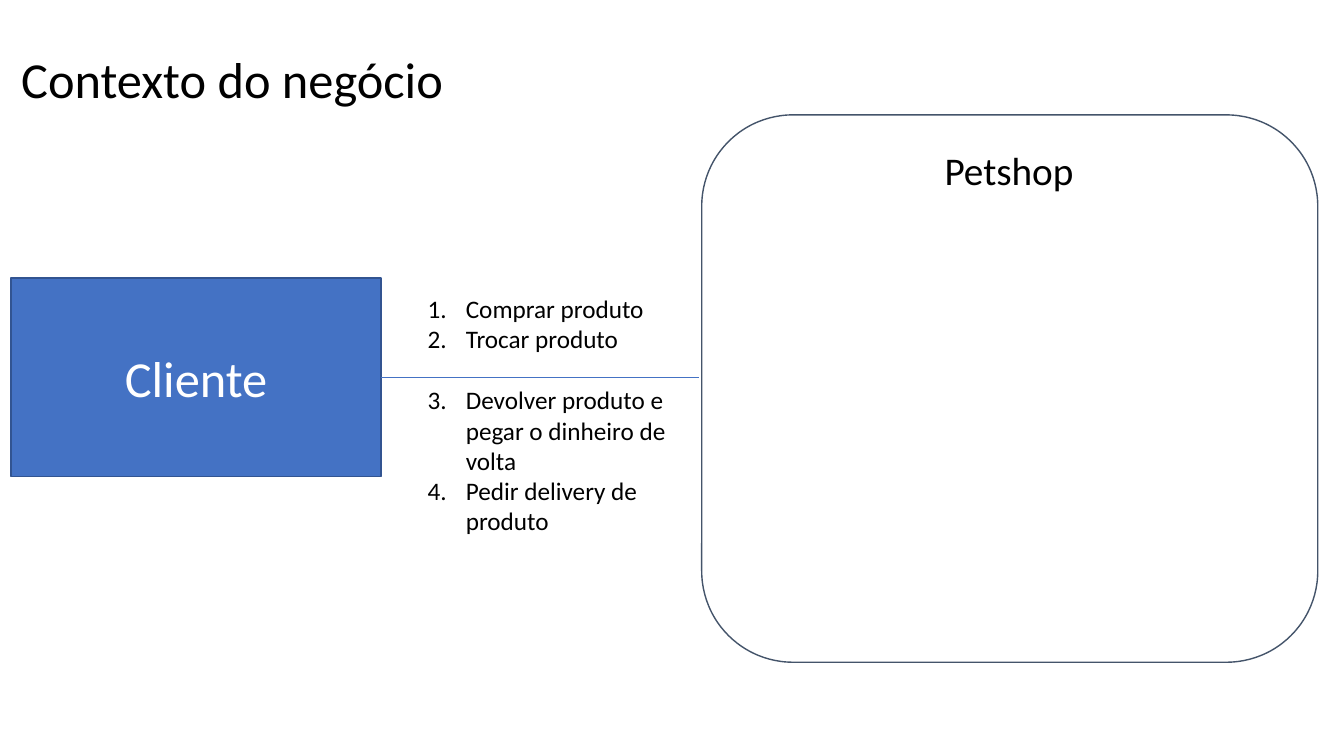
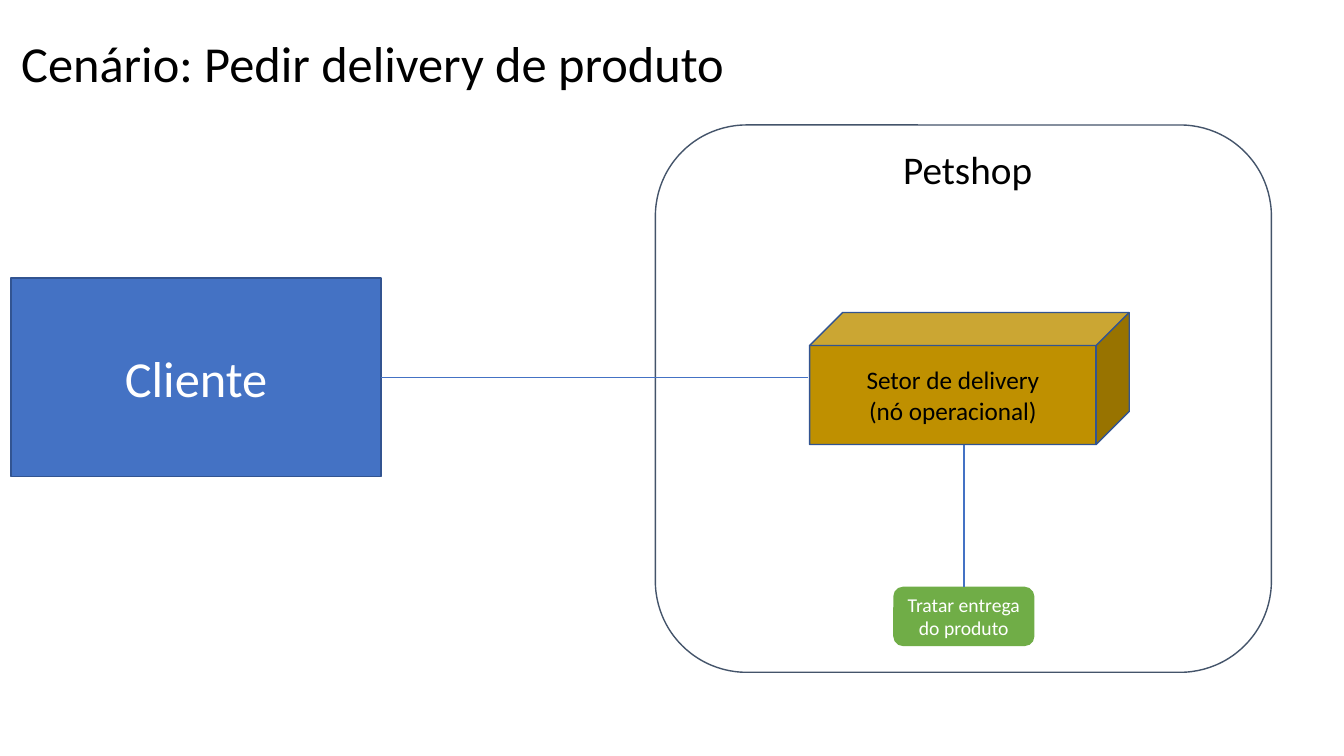
from pptx import Presentation
from pptx.dml.color import RGBColor
from pptx.enum.shapes import MSO_CONNECTOR, MSO_SHAPE as Kind
from pptx.enum.text import MSO_ANCHOR as Anchor, MSO_AUTO_SIZE as Fit, PP_ALIGN as Align
from pptx.oxml.ns import qn
from pptx.util import Inches, Pt
from lxml.etree import SubElement

# Content: title, title top, shop box corner, shop label corner, end of client line
SCENES = [
    ("Contexto do negócio", 0.43, (6.96, 1.14), (9.27, 1.4), 6.93),
    ("Cenário: Pedir delivery de produto", 0.27, (6.5, 1.24), (8.86, 1.39), 8.01),
]
STEPS = [
    "Comprar produto",
    "Trocar produto",
    "Devolver produto e pegar o dinheiro de volta",
    "Pedir delivery de produto",
]
SPLIT = 2  # the client line passes before this step
SECTOR = ["Setor de delivery", "(nó operacional)"]
TASK = ["Tratar entrega do produto"]

# Shared style
FONT = "Calibri"
COLOR = {
    "white": "FFFFFF", "black": "000000", "blue": "4472C4", "edge": "325491",
    "slate": "44546A", "gold": "BF9000", "green": "70AD47",
}
CLIENT = (0.11, 2.76, 3.67, 1.97)
SHOP = (6.11, 5.43)
CUBE = (8.03, 3.1, 3.17, 1.31)
ACTION = (8.86, 5.82, 1.4, 0.59)


def rgb(name):
    return RGBColor.from_string(COLOR[name])


def place(shape, box):
    shape.left, shape.top, shape.width, shape.height = map(Inches, box)


def write(frame, lines, size, color="black", align=Align.LEFT, anchor=Anchor.TOP):
    frame.text = "\n".join(lines)
    frame.vertical_anchor = anchor
    frame.auto_size = Fit.NONE
    for para in frame.paragraphs:
        para.alignment = align
        para.space_before = Pt(0)
        para.font.name = FONT
        para.font.size = Pt(size)
        para.font.color.rgb = rgb(color)


def block(slide, kind, box, fill, edge=None, lines=(), size=18, color="white"):
    shape = slide.shapes.add_shape(kind, *map(Inches, box))
    shape.shadow.inherit = False
    shape.fill.solid()
    shape.fill.fore_color.rgb = rgb(fill)
    if edge:
        shape.line.color.rgb = rgb(edge)
        shape.line.width = Pt(1)
    else:
        shape.line.fill.background()
    if lines:
        write(shape.text_frame, lines, size, color, Align.CENTER, Anchor.MIDDLE)


def link(slide, *ends):
    line = slide.shapes.add_connector(MSO_CONNECTOR.STRAIGHT, *map(Inches, ends))
    line.line.color.rgb = rgb("blue")
    line.line.width = Pt(1)
    SubElement(line._element.spPr, qn("a:effectLst"))


def scene(deck, layout, title, top, corner, label, end):
    slide = deck.slides.add_slide(deck.slide_layouts[layout])
    head = slide.shapes.title
    place(head, (0.11, top, 7.23, 0.71))
    write(head.text_frame, [title], 36)
    block(slide, Kind.ROUNDED_RECTANGLE, corner + SHOP, "white", "slate")
    name = slide.shapes.add_textbox(*map(Inches, label + (1.5, 0.57)))
    write(name.text_frame, ["Petshop"], 28)
    name.text_frame.word_wrap = False
    block(slide, Kind.RECTANGLE, CLIENT, "blue", "edge", ["Cliente"], 36)
    left, y, width, height = CLIENT
    mid = y + height / 2
    link(slide, left + width, mid, end, mid)
    return slide


def number(para):
    props = para._p.get_or_add_pPr()
    props.set("marL", str(Inches(0.38)))
    props.set("indent", str(Inches(-0.38)))
    SubElement(props, qn("a:buFont"), typeface="+mj-lt")
    SubElement(props, qn("a:buAutoNum"), type="arabicPeriod")


def main():
    deck = Presentation()
    deck.slide_width, deck.slide_height = Inches(13.33), Inches(7.5)

    # Business context: numbered steps around the client line
    slide = scene(deck, 1, *SCENES[0])
    body = slide.placeholders[1]
    place(body, (4.14, 2.86, 2.63, 2.52))
    write(body.text_frame, STEPS, 18)
    body.text_frame.paragraphs[SPLIT].space_before = Pt(22)
    for para in body.text_frame.paragraphs:
        number(para)

    # Delivery scenario: sector and its task
    slide = scene(deck, 5, *SCENES[1])
    block(slide, Kind.CUBE, CUBE, "gold", "edge", SECTOR, 18, "black")
    block(slide, Kind.ROUNDED_RECTANGLE, ACTION, "green", lines=TASK, size=14)
    mid = ACTION[0] + ACTION[2] / 2
    link(slide, mid, ACTION[1], mid, CUBE[1] + CUBE[3])

    deck.save("out.pptx")


if __name__ == "__main__":
    main()
